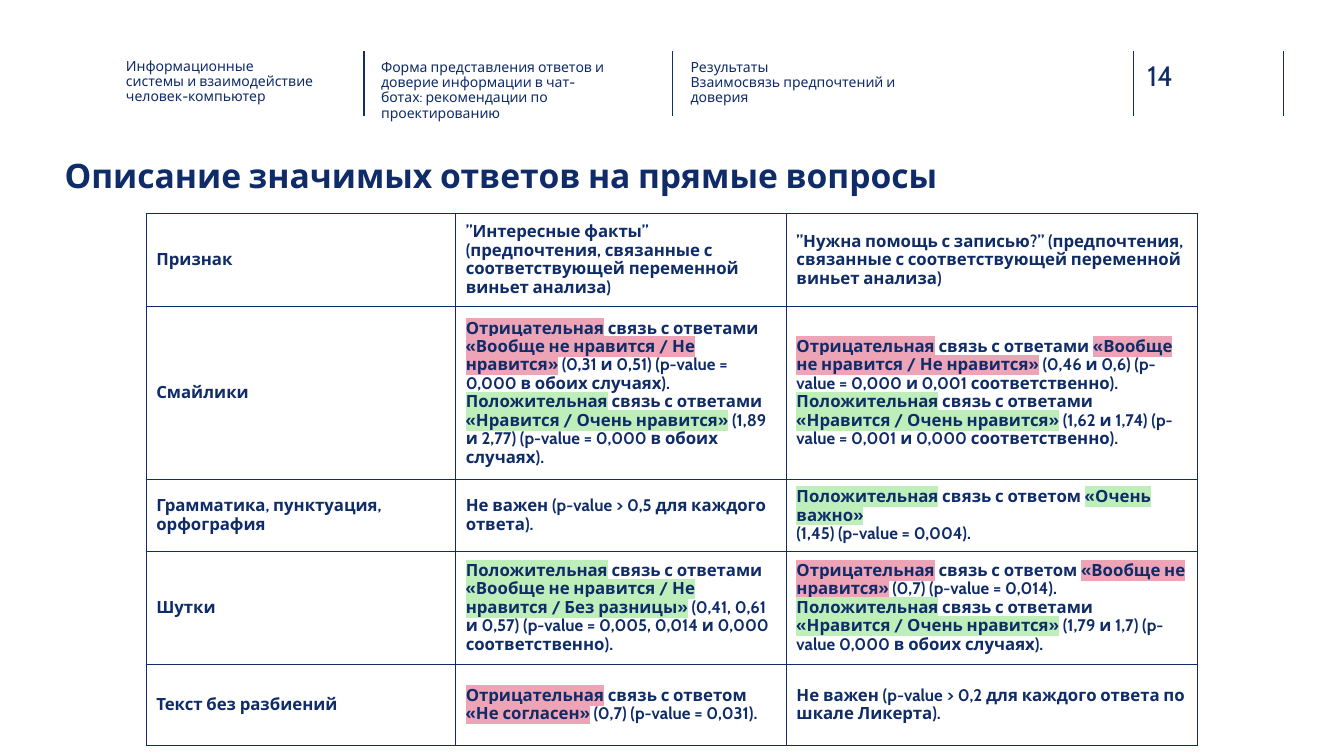
from lxml.etree import SubElement
from pptx import Presentation
from pptx.dml.color import RGBColor
from pptx.enum.shapes import MSO_CONNECTOR
from pptx.enum.text import MSO_ANCHOR, PP_ALIGN
from pptx.oxml.ns import qn
from pptx.util import Inches, Pt

FONT = "Cabin"
NAVY = RGBColor(0x0F, 0x2C, 0x68)
RULE_NAVY = RGBColor(0x10, 0x2D, 0x69)
ROSE = RGBColor(0xEC, 0xA4, 0xB6)
GREEN = RGBColor(0xBE, 0xEF, 0xBA)

# Content
TITLE = "Описание значимых ответов на прямые вопросы"
PAGE_NUMBER = "14"
HEADER_NOTES = [  # left, top, width, paragraphs
    (1.25, 0.59, 1.87, ["Информационные системы и взаимодействие человек-компьютер"]),
    (3.78, 0.6, 2.26, ["Форма представления ответов и доверие информации в чат-ботах: "
                       "рекомендации по проектированию"]),
    (6.85, 0.6, 2.26, ["Результаты", "Взаимосвязь предпочтений и доверия"]),
]
HEADER_RULES = [3.61, 6.67, 11.24, 12.73]

NEGATIVE = ("Отрицательная", ROSE)
POSITIVE = ("Положительная", GREEN)
LIKES = ("«Нравится / Очень нравится»", GREEN)
DISLIKES = ("«Вообще не нравится / Не нравится»", ROSE)
TO_ANSWERS = (" связь с ответами ", None)
TO_ANSWER = (" связь с ответом ", None)


def plain(text):
    return [(text, None)]


# Each cell is a list of paragraphs, each paragraph a list of (text, highlight)
ROWS = [
    [
        [plain("Признак")],
        [plain("”Интересные факты” (предпочтения, связанные с соответствующей "
               "переменной виньет анализа)")],
        [plain("”Нужна помощь с записью?” (предпочтения, связанные с соответствующей "
               "переменной виньет анализа)")],
    ],
    [
        [plain("Смайлики")],
        [[NEGATIVE, TO_ANSWERS, DISLIKES,
          (" (0,31 и 0,51) (p-value = 0,000 в обоих случаях). ", None),
          POSITIVE, TO_ANSWERS, LIKES,
          (" (1,89 и 2,77) (p-value = 0,000 в обоих случаях).", None)]],
        [[NEGATIVE, TO_ANSWERS, DISLIKES,
          (" (0,46 и 0,6) (p-value = 0,000 и 0,001 соответственно).", None)],
         [POSITIVE, TO_ANSWERS, LIKES,
          (" (1,62 и 1,74) (p-value = 0,001 и 0,000 соответственно).", None)]],
    ],
    [
        [plain("Грамматика, пунктуация, орфография")],
        [plain("Не важен (p-value > 0,5 для каждого ответа).")],
        [[POSITIVE, TO_ANSWER, ("«Очень важно»", GREEN)],
         plain("(1,45) (p-value = 0,004).")],
    ],
    [
        [plain("Шутки")],
        [[POSITIVE, TO_ANSWERS,
          ("«Вообще не нравится / Не нравится / Без разницы»", GREEN),
          (" (0,41, 0,61 и 0,57) (p-value = 0,005, 0,014 и 0,000 соответственно).", None)]],
        [[NEGATIVE, TO_ANSWER, ("«Вообще не нравится»", ROSE),
          (" (0,7) (p-value = 0,014).", None)],
         [POSITIVE, TO_ANSWERS, LIKES,
          (" (1,79 и 1,7) (p-value 0,000 в обоих случаях).", None)]],
    ],
    [
        [plain("Текст без разбиений")],
        [[NEGATIVE, TO_ANSWER, ("«Не согласен»", ROSE),
          (" (0,7) (p-value = 0,031).", None)]],
        [plain("Не важен (p-value > 0,2 для каждого ответа по шкале Ликерта).")],
    ],
]
COLUMN_WIDTHS = [3.07, 3.28, 4.08]
ROW_HEIGHTS = [0.92, 1.72, 0.71, 1.12, 0.81]


def write(frame, paragraphs, size, bold=False, spacing=0.9):
    frame.word_wrap = True
    for index, pieces in enumerate(paragraphs):
        paragraph = frame.paragraphs[0] if index == 0 else frame.add_paragraph()
        paragraph.alignment = PP_ALIGN.LEFT
        paragraph.line_spacing = spacing
        paragraph.space_before = Pt(0)
        for text, highlight in pieces:
            run = paragraph.add_run()
            run.text = text
            run.font.size = Pt(size)
            run.font.bold = bold
            run.font.color.rgb = NAVY
            if highlight is not None:
                mark = SubElement(run._r.get_or_add_rPr(), qn("a:highlight"))
                SubElement(mark, qn("a:srgbClr"), val=str(highlight))
            run.font.name = FONT


def clear_margins(frame):
    frame.margin_left = frame.margin_right = frame.margin_top = frame.margin_bottom = 0
    frame.vertical_anchor = MSO_ANCHOR.TOP


def add_note(left, top, width, height, paragraphs, size, spacing):
    frame = slide.shapes.add_textbox(
        Inches(left), Inches(top), Inches(width), Inches(height)).text_frame
    clear_margins(frame)
    write(frame, [plain(text) for text in paragraphs], size, spacing=spacing)


def outline(cell):
    properties = cell._tc.get_or_add_tcPr()
    for position, side in enumerate(("a:lnL", "a:lnR", "a:lnT", "a:lnB")):
        border = SubElement(properties, qn(side), w=str(Pt(1)))
        fill = SubElement(border, qn("a:solidFill"))
        SubElement(fill, qn("a:srgbClr"), val=str(NAVY))
        properties.insert(position, border)


presentation = Presentation()
presentation.slide_width = Inches(13.33)
presentation.slide_height = Inches(7.5)
slide = presentation.slides.add_slide(presentation.slide_layouts[5])

# Title
title = slide.shapes.title
title.left, title.top = Inches(0.64), Inches(1.58)
title.width, title.height = Inches(11.72), Inches(0.85)
clear_margins(title.text_frame)
write(title.text_frame, [plain(TITLE)], 24, bold=True)

# Header strip
for x in HEADER_RULES:
    rule = slide.shapes.add_connector(
        MSO_CONNECTOR.STRAIGHT, Inches(x), Inches(0.51), Inches(x), Inches(1.15))
    rule.line.color.rgb = RULE_NAVY
    rule.line.width = Pt(1)
    SubElement(rule._element.spPr, qn("a:effectLst"))
for left, top, width, paragraphs in HEADER_NOTES:
    add_note(left, top, width, 0.45, paragraphs, 10, 0.9)
add_note(11.38, 0.58, 0.73, 0.34, [PAGE_NUMBER], 20, 1.0)

# Table of answers
answers = slide.shapes.add_table(
    len(ROWS), len(COLUMN_WIDTHS), Inches(1.45), Inches(2.12),
    Inches(sum(COLUMN_WIDTHS)), Inches(sum(ROW_HEIGHTS))).table
answers.first_row = answers.horz_banding = False
for column, width in zip(answers.columns, COLUMN_WIDTHS):
    column.width = Inches(width)
for row, height, contents in zip(answers.rows, ROW_HEIGHTS, ROWS):
    row.height = Inches(height)
    for cell, paragraphs in zip(row.cells, contents):
        cell.fill.background()
        cell.vertical_anchor = MSO_ANCHOR.MIDDLE
        outline(cell)
        write(cell.text_frame, paragraphs, 12, bold=True)

presentation.save("out.pptx")
